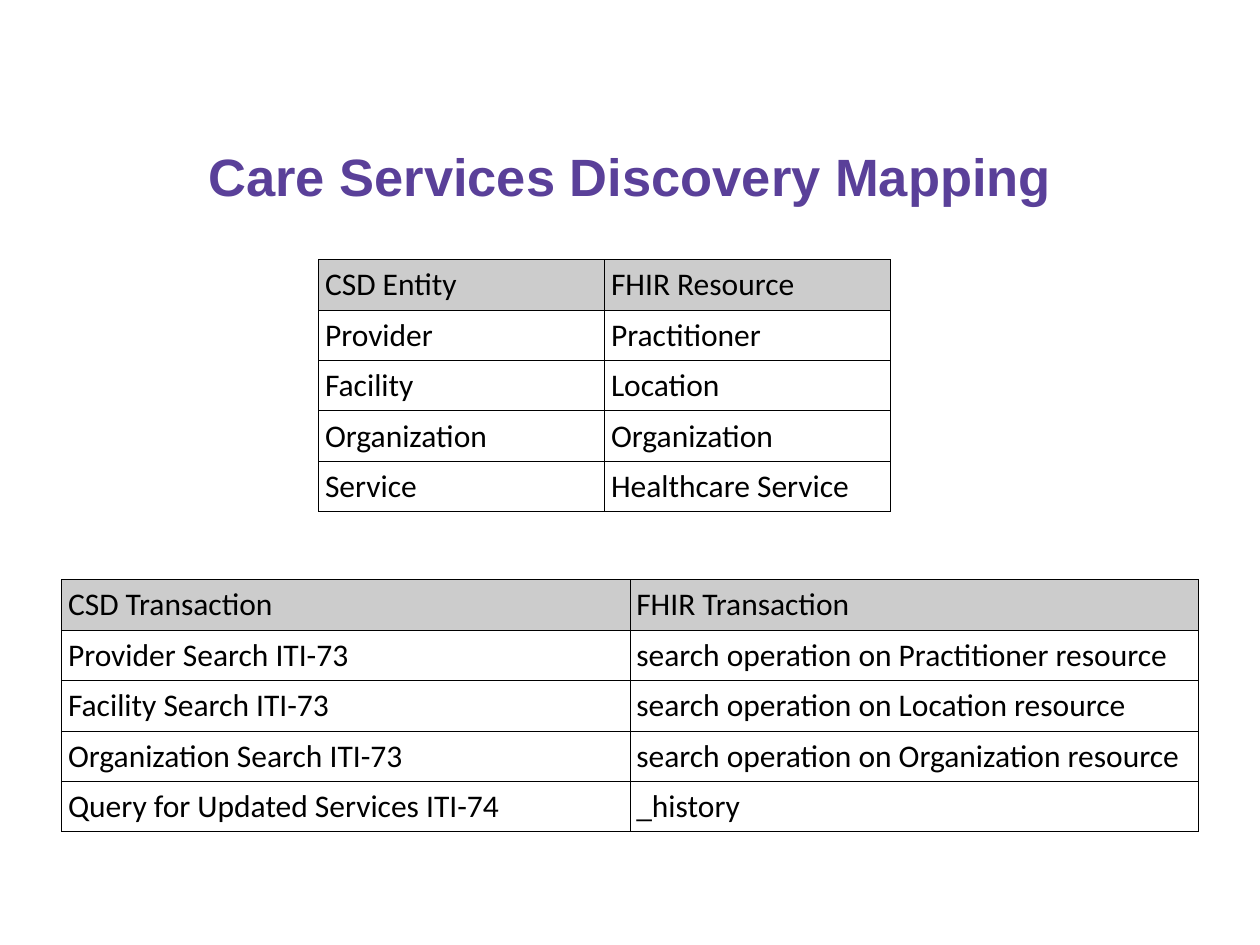
import pptx
import pptx.dml.color
import pptx.enum.text
import pptx.oxml
import pptx.oxml.ns
import pptx.util
from pptx.util import Inches

COLORS = {"title": "5A4099", "text": "000000", "border": "000000", "header": "CCCCCC"}

ENTITIES = [
    ("CSD Entity", "FHIR Resource"),
    ("Provider", "Practitioner"),
    ("Facility", "Location"),
    ("Organization", "Organization"),
    ("Service", "Healthcare Service"),
]
TRANSACTIONS = [
    ("CSD Transaction", "FHIR Transaction"),
    ("Provider Search ITI-73", "search operation on Practitioner resource"),
    ("Facility Search ITI-73", "search operation on Location resource"),
    ("Organization Search ITI-73", "search operation on Organization resource"),
    ("Query for Updated Services ITI-74", "_history"),
]


def rgb(name):
    return pptx.dml.color.RGBColor.from_string(COLORS[name])


def write_text(frame, text, font="Calibri", size=18, color="text", bold=False, align=None):
    paragraph = frame.paragraphs[0]
    paragraph.alignment = align
    run = paragraph.add_run()
    run.text = text
    run.font.name = font
    run.font.size = pptx.util.Pt(size)
    run.font.bold = bold
    run.font.color.rgb = rgb(color)


class SlideBuilder:
    row_height = Inches(0.4)
    cell_margin = Inches(0.05)
    border_width = pptx.util.Pt(0.5)

    def __init__(self, slide):
        self.slide = slide

    def title(self, text, left, top, width, height):
        heading = self.slide.shapes.add_textbox(left, top, width, height)
        frame = heading.text_frame
        frame.word_wrap = True
        frame.vertical_anchor = pptx.enum.text.MSO_ANCHOR.MIDDLE
        write_text(frame, text, font="Arial", size=30, color="title", bold=True,
                   align=pptx.enum.text.PP_ALIGN.CENTER)

    def mapping(self, rows, left, top, column_width):
        columns = len(rows[0])
        table = self.slide.shapes.add_table(
            len(rows), columns, left, top,
            column_width * columns, self.row_height * len(rows)).table
        table.first_row = False
        table.horz_banding = False
        for column in table.columns:
            column.width = column_width
        for row_index, row in enumerate(rows):
            table.rows[row_index].height = self.row_height
            for column_index, text in enumerate(row):
                self.cell(table.cell(row_index, column_index), text, row_index == 0)

    def cell(self, cell, text, is_header):
        cell.margin_left = cell.margin_right = self.cell_margin
        cell.margin_top = cell.margin_bottom = self.cell_margin
        write_text(cell.text_frame, text)
        self.borders(cell)
        if is_header:
            cell.fill.solid()
            cell.fill.fore_color.rgb = rgb("header")
        else:
            cell.fill.background()

    def borders(self, cell):
        properties = cell._tc.get_or_add_tcPr()
        for side in ("L", "R", "T", "B"):
            properties.append(pptx.oxml.parse_xml(
                f'<a:ln{side} {pptx.oxml.ns.nsdecls("a")} w="{self.border_width}">'
                f'<a:solidFill><a:srgbClr val="{COLORS["border"]}"/></a:solidFill>'
                f'</a:ln{side}>'))


def main():
    presentation = pptx.Presentation()
    presentation.slide_width = Inches(10)
    presentation.slide_height = Inches(7.5)
    builder = SlideBuilder(presentation.slides.add_slide(presentation.slide_layouts[6]))
    builder.title("Care Services Discovery Mapping",
                  Inches(0.75), Inches(0.98), Inches(8.5), Inches(0.82))
    builder.mapping(ENTITIES, Inches(2.53), Inches(2.06), Inches(2.27))
    builder.mapping(TRANSACTIONS, Inches(0.49), Inches(4.6), Inches(4.51))
    presentation.save("out.pptx")


if __name__ == "__main__":
    main()
